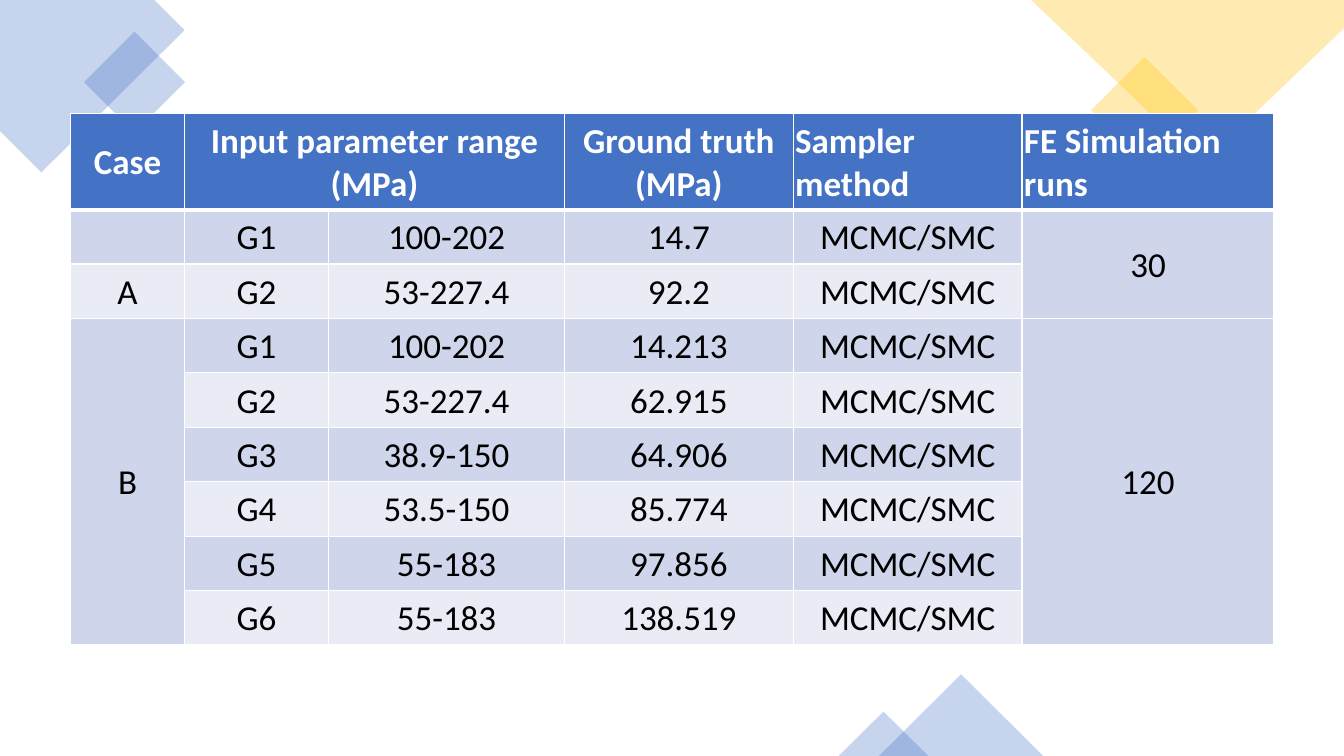
from dataclasses import dataclass
from math import cos, radians, sin

from lxml import etree
from pptx import Presentation
from pptx.dml.color import RGBColor
from pptx.enum.shapes import MSO_SHAPE
from pptx.enum.text import MSO_ANCHOR, PP_ALIGN
from pptx.oxml.ns import qn
from pptx.util import Emu, Pt

RECT = MSO_SHAPE.RECTANGLE
TRIANGLE = MSO_SHAPE.ISOSCELES_TRIANGLE
MIDDLE = MSO_ANCHOR.MIDDLE
LEFT, CENTER = PP_ALIGN.LEFT, PP_ALIGN.CENTER

GRID_COLS, GRID_ROWS = 160, 90
CELL = 76200


@dataclass(frozen=True)
class Theme:
    blue: str = "4472C4"
    gold: str = "FFC000"
    white: str = "FFFFFF"
    black: str = "000000"
    bands: tuple = ("E9EBF5", "CFD5EA")
    font: str = "Calibri"
    size: int = 25
    alpha: int = 30
    rule: int = 1
    header_rule: int = 3


THEME = Theme()

COL_WIDTHS = (13.56, 17.16, 28.08, 27.24, 27.24, 30)
HEADER_HEIGHT, ROW_HEIGHT = 11.4, 6.48
INSET = 0.24
SAMPLER = "MCMC/SMC"
HEADER = ("Case", "Input parameter range (MPa)", "", "Ground truth (MPa)",
          "Sampler method", "FE Simulation runs")
CASES = (
    ("", "G1", "100-202", "14.7", SAMPLER, "30"),
    ("A", "G2", "53-227.4", "92.2", SAMPLER, ""),
    ("B", "G1", "100-202", "14.213", SAMPLER, "120"),
    ("", "G2", "53-227.4", "62.915", SAMPLER, ""),
    ("", "G3", "38.9-150", "64.906", SAMPLER, ""),
    ("", "G4", "53.5-150", "85.774", SAMPLER, ""),
    ("", "G5", "55-183", "97.856", SAMPLER, ""),
    ("", "G6", "55-183", "138.519", SAMPLER, ""),
)
MERGES = (((0, 1), (0, 2)), ((1, 5), (2, 5)), ((3, 0), (8, 0)), ((3, 5), (8, 5)))
LEFT_HEADERS = HEADER[4:]


def grid(n):
    return Emu(round(n * CELL))


def rgb(color):
    return RGBColor.from_string(color)


def paint(sp, color, rotation):
    sp.shadow.inherit = False
    sp.line.fill.background()
    sp.fill.solid()
    sp.fill.fore_color.rgb = rgb(color)
    clr = sp._element.spPr.find(qn("a:solidFill"))[0]
    etree.SubElement(clr, qn("a:alpha"), val=str(THEME.alpha * 1000))
    sp.rotation = rotation


def add_preset(s, kind, x, y, w, h, color, rotation=0):
    sp = s.shapes.add_shape(kind, grid(x), grid(y), grid(w), grid(h))
    paint(sp, color, rotation)


def add_outline(s, points, center, color, rotation):
    cx, cy = center
    c, n = cos(radians(-rotation)), sin(radians(-rotation))
    turned = [
        (grid(cx + (x - cx) * c - (y - cy) * n), grid(cy + (x - cx) * n + (y - cy) * c))
        for x, y in points
    ]
    builder = s.shapes.build_freeform(*turned[0])
    builder.add_line_segments(turned[1:], close=True)
    paint(builder.convert_to_shape(), color, rotation)


def add_borders(cell, bottom):
    tcPr = cell._tc.get_or_add_tcPr()
    for side in "LRTB":
        width = bottom if side == "B" else THEME.rule
        ln = etree.SubElement(tcPr, qn(f"a:ln{side}"), w=str(Pt(width)))
        fill = etree.SubElement(ln, qn("a:solidFill"))
        etree.SubElement(fill, qn("a:srgbClr"), val=THEME.white)


def fill_cell(cell, text, is_header, background):
    add_borders(cell, THEME.header_rule if is_header else THEME.rule)
    cell.fill.solid()
    cell.fill.fore_color.rgb = rgb(background)
    cell.vertical_anchor = MIDDLE
    cell.margin_left = cell.margin_right = cell.margin_top = grid(INSET)
    cell.margin_bottom = 0
    p = cell.text_frame.paragraphs[0]
    p.text = text
    p.alignment = LEFT if text in LEFT_HEADERS else CENTER
    p.font.name = THEME.font
    p.font.size = Pt(THEME.size)
    p.font.bold = is_header
    p.font.color.rgb = rgb(THEME.white if is_header else THEME.black)


def add_case_table(s, x, y):
    rows = (HEADER, *CASES)
    heights = (HEADER_HEIGHT, *[ROW_HEIGHT] * len(CASES))
    table = s.shapes.add_table(len(rows), len(HEADER), grid(x), grid(y),
                               grid(sum(COL_WIDTHS)), grid(sum(heights))).table
    for column, width in zip(table.columns, COL_WIDTHS):
        column.width = grid(width)
    for r, (values, height) in enumerate(zip(rows, heights)):
        table.rows[r].height = grid(height)
        background = THEME.bands[r % 2] if r else THEME.blue
        for c, text in enumerate(values):
            fill_cell(table.cell(r, c), text, r == 0, background)
    for first, last in MERGES:
        table.cell(*first).merge(table.cell(*last))


def main():
    prs = Presentation()
    prs.slide_width, prs.slide_height = grid(GRID_COLS), grid(GRID_ROWS)
    s = prs.slides.add_slide(prs.slide_layouts[6])
    add_outline(s, ((18.36, 0), (0, 0), (0, 15.6), (4.92, 20.52), (21.96, 3.6)),
                (7.08, 5.7), THEME.blue, 315)
    add_preset(s, RECT, 11.76, 5.52, 8.52, 8.52, THEME.blue, 315)
    add_preset(s, RECT, 131.76, 8.64, 9, 9, THEME.gold, 315)
    add_outline(s, ((GRID_COLS, 0), (122.76, 0), (143.16, 19.44), (GRID_COLS, 3.36)),
                (141.38, 9.72), THEME.gold, 180)
    add_preset(s, TRIANGLE, 104.64, 80.28, 19.56, 9.72, THEME.blue)
    add_preset(s, TRIANGLE, 99.84, 84.72, 10.68, 5.28, THEME.blue)
    add_case_table(s, 8.4, 13.56)
    prs.save("out.pptx")


if __name__ == "__main__":
    main()
